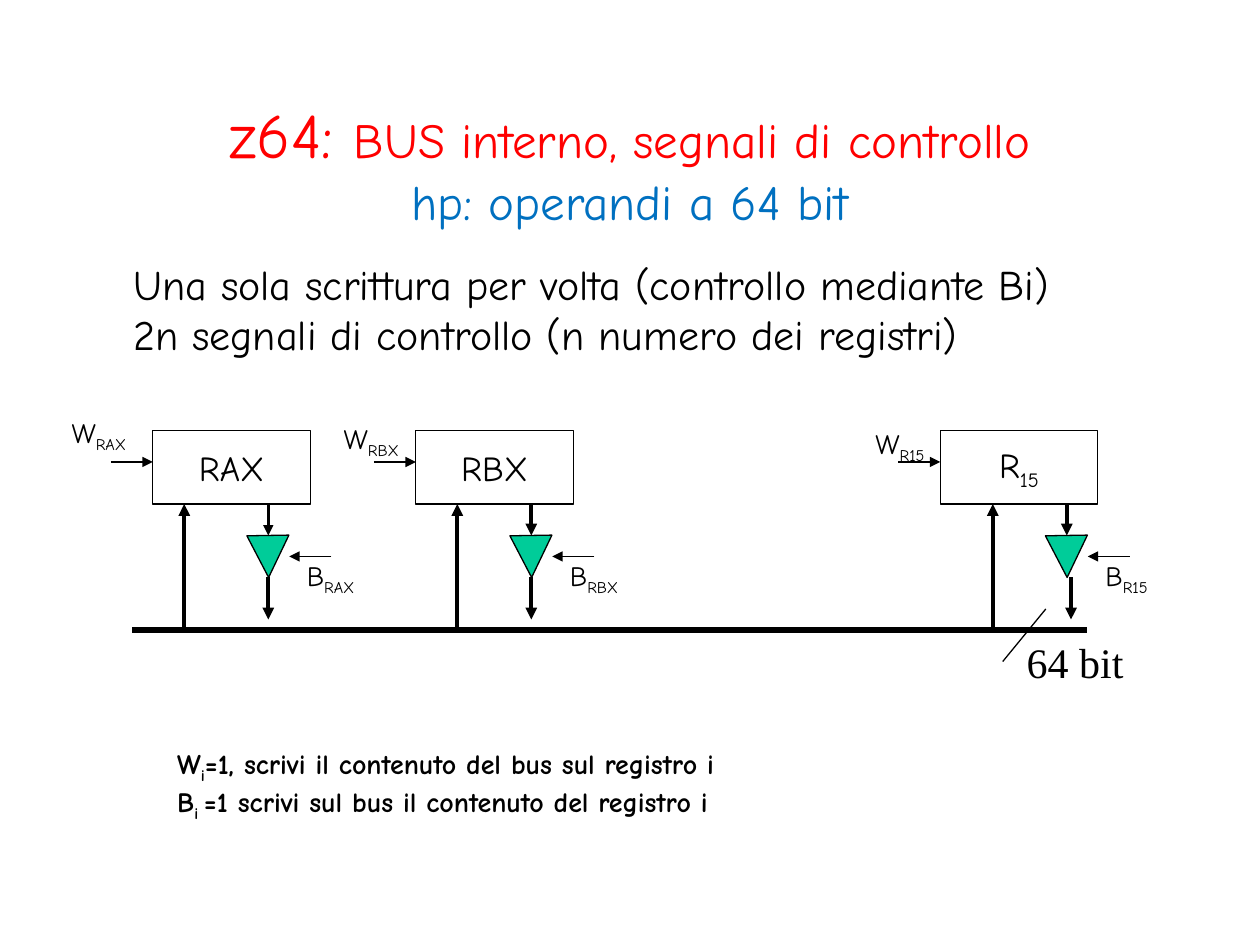
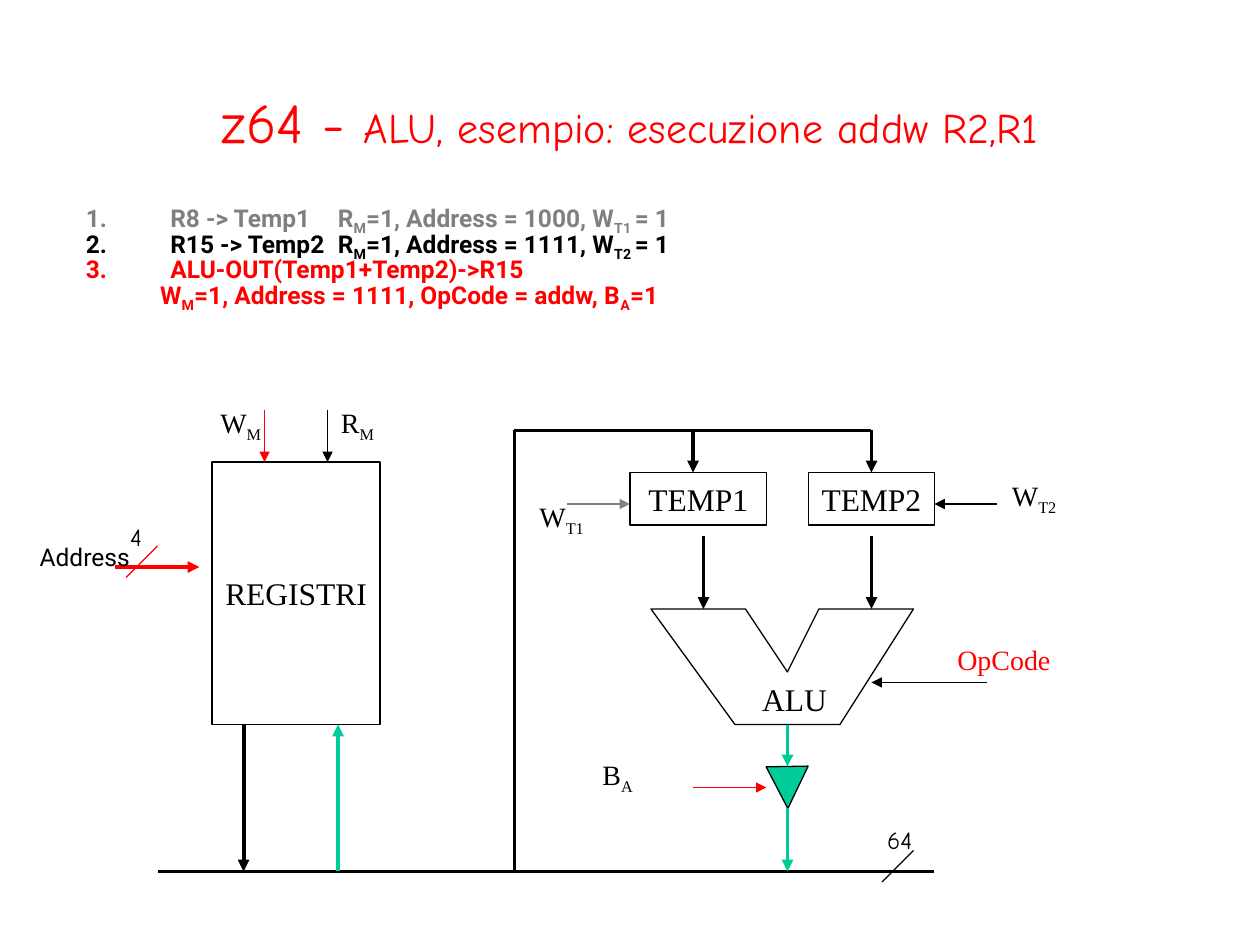
"""Build two slides on the z64 processor: internal bus control signals and an ALU example."""
from lxml.etree import SubElement
from pptx import Presentation
from pptx.dml.color import RGBColor
from pptx.enum.shapes import MSO_CONNECTOR as Connector, MSO_SHAPE as Shape
from pptx.enum.text import MSO_ANCHOR as Anchor, MSO_AUTO_SIZE as AutoSize, PP_ALIGN as Align
from pptx.oxml.ns import qn
from pptx.util import Inches, Pt

BLACK = RGBColor(0x00, 0x00, 0x00)
WHITE = RGBColor(0xFF, 0xFF, 0xFF)
RED = RGBColor(0xFF, 0x00, 0x00)
BLUE = RGBColor(0x00, 0x70, 0xC0)
GREEN = RGBColor(0x00, 0xCC, 0x99)
GRAY = RGBColor(0x80, 0x80, 0x80)

COMIC, ROBOTO, TIMES = "Comic Neue", "Roboto", "Times New Roman"
COLUMNS, ROWS = 120, 90
THIN, MEDIUM, THICK, BUS = 0.75, 1.5, 2.25, 3


def write(paragraph, text, font=COMIC, size=16, color=BLACK, bold=False, align=Align.LEFT):
    """Add text to a paragraph, with the parts between tildes as subscripts."""
    paragraph.alignment = align
    for index, part in enumerate(text.split("~")):
        if not part:
            continue
        run = paragraph.add_run()
        run.text = part
        run.font.name, run.font.size, run.font.bold = font, Pt(size), bold
        run.font.color.rgb = color
        if index % 2:
            run.font._element.set("baseline", "-25000")


class Deck:
    """Hold the presentation, its grid and the current slide."""

    def __init__(self):
        self.presentation = Presentation()
        self.presentation.slide_width = Inches(10)
        self.presentation.slide_height = Inches(7.5)
        self.slide = None

    def add_slide(self):
        self.slide = self.presentation.slides.add_slide(self.presentation.slide_layouts[6])

    def at(self, column, row):
        return (round(self.presentation.slide_width * column / COLUMNS),
                round(self.presentation.slide_height * row / ROWS))

    def frame(self, left, top, width, height, wrap=True):
        box = self.slide.shapes.add_textbox(*self.at(left, top), *self.at(width, height))
        box.text_frame.word_wrap = wrap
        return box.text_frame

    def title(self, top, height, runs):
        frame = self.frame(9, top, 102, height)
        frame.vertical_anchor = Anchor.MIDDLE
        paragraph = frame.paragraphs[0]
        for text, size, color in runs:
            if text.startswith("\n"):
                paragraph.add_line_break()
            write(paragraph, text.lstrip("\n"), size=size, color=color, align=Align.CENTER)

    def label(self, left, top, width, *lines, height=5, **style):
        frame = self.frame(left, top, width, height, wrap=False)
        frame.auto_size = AutoSize.SHAPE_TO_FIT_TEXT
        for index, line in enumerate(lines):
            write(frame.add_paragraph() if index else frame.paragraphs[0], line, **style)

    def steps(self, left, top, width, height, steps, detail):
        frame = self.frame(left, top, width, height)
        for index, (text, color) in enumerate(steps + [detail]):
            paragraph = frame.add_paragraph() if index else frame.paragraphs[0]
            paragraph.line_spacing = 0.8
            properties = paragraph._element.get_or_add_pPr()
            if index < len(steps):
                properties.set("marL", str(Inches(0.67)))
                properties.set("indent", str(-Inches(0.67)))
                bullet_color = SubElement(properties, qn("a:buClr"))
                SubElement(bullet_color, qn("a:srgbClr"), val=str(color))
                SubElement(properties, qn("a:buFont"), typeface=ROBOTO)
                SubElement(properties, qn("a:buAutoNum"), type="arabicPeriod")
                tabs = SubElement(properties, qn("a:tabLst"))
                SubElement(tabs, qn("a:tab"), pos=str(Inches(2)), algn="l")
            else:
                properties.set("marL", str(Inches(0.59)))
                properties.set("indent", "0")
            write(paragraph, text, font=ROBOTO, size=14, color=color, bold=True)

    def outline(self, shape, fill):
        shape.shadow.inherit = False
        shape.fill.solid()
        shape.fill.fore_color.rgb = fill
        shape.line.color.rgb = BLACK
        shape.line.width = Pt(THIN)

    def box(self, left, top, width, height, text, **style):
        shape = self.slide.shapes.add_shape(
            Shape.RECTANGLE, *self.at(left, top), *self.at(width, height))
        self.outline(shape, WHITE)
        shape.text_frame.word_wrap = False
        shape.text_frame.vertical_anchor = Anchor.MIDDLE
        write(shape.text_frame.paragraphs[0], text, align=Align.CENTER, **style)

    def gate(self, left, top):
        shape = self.slide.shapes.add_shape(
            Shape.ISOSCELES_TRIANGLE, *self.at(left, top), *self.at(4, 4))
        shape.rotation = 179.1
        self.outline(shape, GREEN)

    def polygon(self, points):
        start, *others = [self.at(*point) for point in points]
        builder = self.slide.shapes.build_freeform(*start)
        builder.add_line_segments(others, close=True)
        self.outline(builder.convert_to_shape(), WHITE)

    def line(self, start, end, width=THIN, color=BLACK, arrow=False):
        connector = self.slide.shapes.add_connector(
            Connector.STRAIGHT, *self.at(*start), *self.at(*end))
        connector.line.color.rgb = color
        connector.line.width = Pt(width)
        properties = connector._element.spPr
        if arrow:
            SubElement(properties.find(qn("a:ln")), qn("a:tailEnd"), type="triangle")
        SubElement(properties, qn("a:effectLst"))

    def arrow(self, start, end, width=THIN, color=BLACK):
        self.line(start, end, width, color, arrow=True)


def build_bus_slide(deck):
    """Draw the registers attached to the internal bus."""
    deck.add_slide()
    deck.title(8, 15, [("z64: ", 36, RED), ("BUS interno, segnali di controllo", 28, RED),
                       ("\nhp: operandi a 64 bit", 28, BLUE)])
    deck.label(11.5, 24, 91, "Una sola scrittura per volta (controllo mediante Bi)",
               "2n segnali di controllo (n numero dei registri)", height=10.8, size=24)
    deck.line((12.6, 60), (103.5, 60), BUS)
    deck.line((99.6, 58), (95.5, 63))
    deck.label(96.6, 60, 12.2, "64 bit", height=6, font=TIMES, size=24)

    registers = [
        ("RAX", "RAX", 14.55, (5.64, 39), 17.55, 23.55, 25.55, MEDIUM),
        ("RBX", "RBX", 39.6, (31.56, 39.6), 43.55, 48.6, 50.6, THICK),
        ("R~15~", "R15", 89.55, (82.2, 40), 94.55, 99.6, 102, THICK),
    ]
    for name, signal, left, write_label, input_column, gate, output, width in registers:
        deck.box(left, 41, 15, 7, name, size=20)
        deck.arrow((left - 4, 44), (left, 44))
        deck.label(*write_label, 8.2, f"W~{signal}~")
        deck.arrow((input_column, 60), (input_column, 48), THICK)
        deck.gate(gate, 51)
        deck.arrow((gate + 2, 48), (gate + 2, 51), width)
        deck.arrow((output, 55), (output, 59), THICK)
        deck.arrow((gate + 8, 53), (gate + 4, 53))
        deck.label(gate + 4.5, 52.6, 7.6, f"B~{signal}~")

    deck.label(15.7, 70.5, 56.5, "W~i~=1, scrivi il contenuto del bus sul registro i",
               "B~i ~=1 scrivi sul bus il contenuto del registro i", height=8.5, bold=True)


def build_alu_slide(deck):
    """Draw the ALU data path and the steps of the addition."""
    deck.add_slide()
    deck.title(6, 11, [("z64 - ", 32, RED), ("ALU, esempio: esecuzione addw R2,R1", 24, RED)])
    deck.steps(7, 19, 102, 15, [
        ("R8 -> Temp1\tR~M~=1, Address = 1000, W~T1 ~= 1", GRAY),
        ("R15 -> Temp2\tR~M~=1, Address = 1111, W~T2 ~= 1", BLACK),
        ("ALU-OUT(Temp1+Temp2)->R15", RED),
    ], ("W~M~=1, Address = 1111, OpCode = addw, B~A~=1", RED))

    deck.box(60, 45, 13, 5, "TEMP1", font=TIMES, size=18)
    deck.box(77, 45, 12, 5, "TEMP2", font=TIMES, size=18)
    deck.box(20.2, 44, 16, 25, "REGISTRI", font=TIMES, size=18)
    deck.polygon([(62, 58), (71, 58), (75, 64), (78, 58), (87, 58), (80, 69), (70, 69)])
    deck.gate(73, 73)

    deck.line((15, 83), (89, 83), THICK)
    deck.line((49, 83), (49, 41), THICK)
    deck.line((49, 41), (83, 41), THICK)
    thick_arrows = [
        ((66, 41), (66, 45), BLACK), ((83, 41), (83, 45), BLACK),
        ((67, 51), (67, 58), BLACK), ((83, 51), (83, 58), BLACK),
        ((75, 69), (75, 73), GREEN), ((75, 77), (75, 83), GREEN),
        ((23.2, 69), (23.2, 83), BLACK), ((32.2, 83), (32.2, 69), GREEN),
        ((11, 54), (19, 54), RED),
    ]
    for start, end, color in thick_arrows:
        deck.arrow(start, end, THICK, color)
    control_arrows = [
        ((94, 65), (83, 65), BLACK), ((66, 75), (73, 75), RED),
        ((95, 48), (89, 48), BLACK), ((54, 48), (60, 48), GRAY),
        ((25.2, 39), (25.2, 44), RED), ((31.2, 39), (31.2, 44), BLACK),
    ]
    for start, end, color in control_arrows:
        deck.arrow(start, end, color=color)
    deck.line((15, 52), (12, 55), color=RED)
    deck.line((87, 81), (84, 84))

    signals = [
        (56.2, 71.6, 6, "B~A~"), (50.2, 47, 7.2, "W~T1~"), (95.2, 45, 7.2, "W~T2~"),
        (19.8, 38, 7, "W~M~"), (31.3, 38, 6.2, "R~M~"),
    ]
    for signal in signals:
        deck.label(*signal, font=TIMES)
    deck.label(90, 60.6, 12, "OpCode", font=TIMES, color=RED)
    deck.label(71.4, 64.2, 9.2, "ALU", font=TIMES, size=18)
    deck.label(11.2, 49.1, 4, "4", height=4, size=14)
    deck.label(83.3, 78, 5.4, "64", height=4, size=14)
    deck.label(2.6, 51, 12, "Address", height=4, font=ROBOTO, size=14)


def main():
    """Build both slides and save them."""
    deck = Deck()
    build_bus_slide(deck)
    build_alu_slide(deck)
    deck.presentation.save("out.pptx")


if __name__ == "__main__":
    main()
